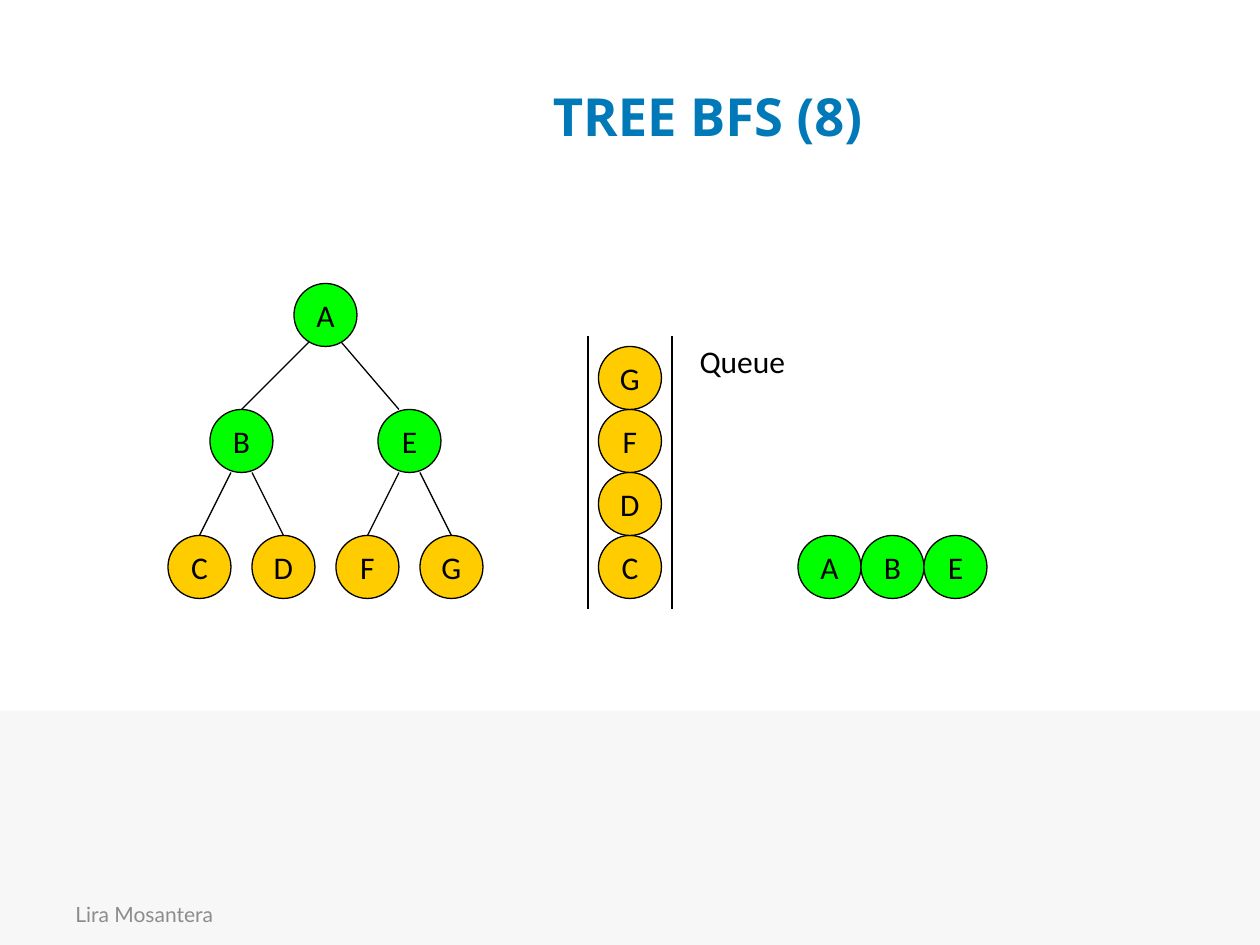
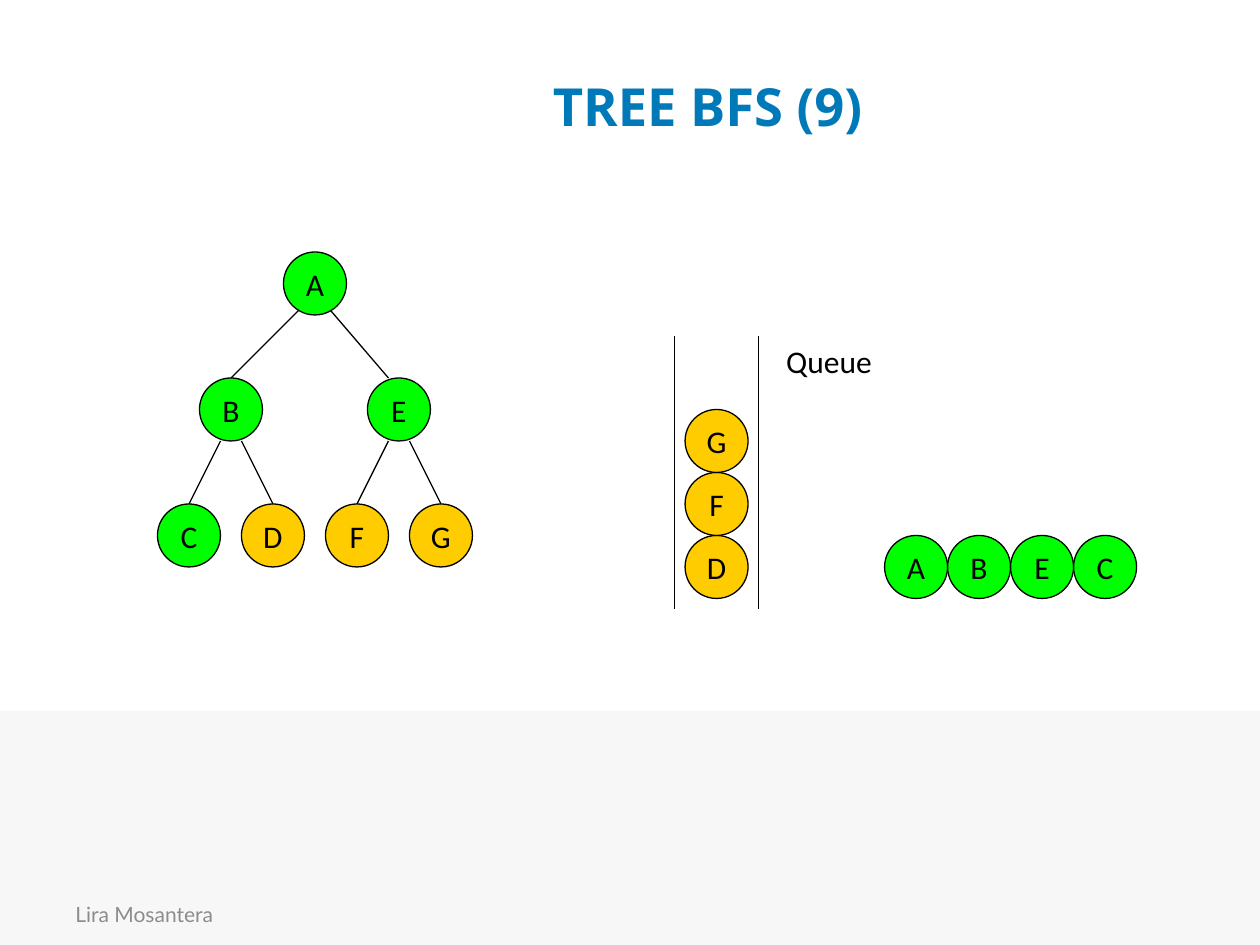
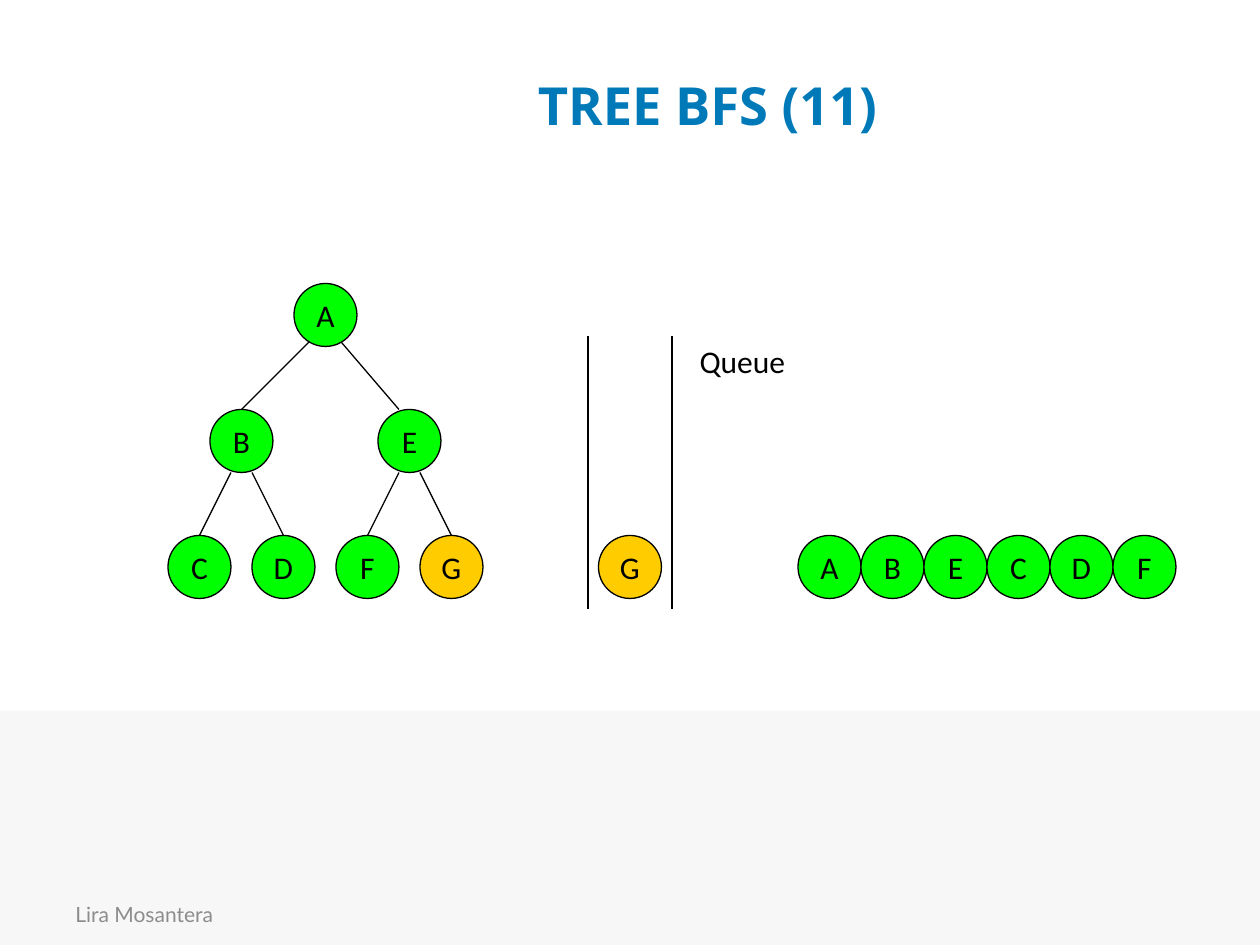
from dataclasses import dataclass
from typing import Any

from lxml import etree
from pptx import Presentation
from pptx.dml.color import RGBColor
from pptx.enum.shapes import MSO_CONNECTOR, MSO_SHAPE
from pptx.enum.text import MSO_ANCHOR, MSO_AUTO_SIZE, PP_ALIGN
from pptx.oxml.ns import qn
from pptx.util import Inches, Pt

ELLIPSE, RECTANGLE = MSO_SHAPE.OVAL, MSO_SHAPE.RECTANGLE
STRAIGHT = MSO_CONNECTOR.STRAIGHT
MIDDLE, TOP = MSO_ANCHOR.MIDDLE, MSO_ANCHOR.TOP
CENTER, LEFT = PP_ALIGN.CENTER, PP_ALIGN.LEFT
FIT_SHAPE, NO_FIT = MSO_AUTO_SIZE.SHAPE_TO_FIT_TEXT, MSO_AUTO_SIZE.NONE

COLORS = {
    "band": "F7F7F7",
    "title": "0079B8",
    "footer": "8C8C8C",
    "ink": "000000",
    "visited": "00FF00",
    "waiting": "FFCC00",
}

# The slide is a grid of 120 columns by 90 rows, twelve to the inch.
SLIDE_WIDTH, SLIDE_HEIGHT = Inches(10), Inches(7.5)
CELL = SLIDE_WIDTH // 120
BAND_TOP = 67.7
NODE_SIZE = 6
TITLE_LEFT, TITLE_WIDTH, TITLE_HEIGHT = 21, 92.8, 15

# Queue geometry
RAIL_TOP, RAIL_BOTTOM = 32, 58
RAIL_GAP = 8
BOTTOM_ROW = 51
LABEL_OFFSET, OUTPUT_OFFSET = 9, 20

BFS_ORDER = "ABECDFG"


@dataclass(frozen=True)
class TextStyle:
    font: str
    size: int
    color: str
    bold: bool = False
    align: Any = CENTER
    anchor: Any = MIDDLE


TITLE_STYLE = TextStyle("Open Sans", 30, "title", bold=True)
FOOTER_STYLE = TextStyle("Lato", 12, "footer", align=LEFT)
NODE_STYLE = TextStyle("Calibri", 18, "ink")
LABEL_STYLE = TextStyle("Calibri", 18, "ink", anchor=TOP)


@dataclass(frozen=True)
class TreeNode:
    """A node's place within the tree, and its children from left to right."""
    column: int
    row: int
    children: str = ""


TREE = {
    "A": TreeNode(12, 0, "BE"),
    "B": TreeNode(4, 12, "CD"),
    "E": TreeNode(20, 12, "FG"),
    "C": TreeNode(0, 24),
    "D": TreeNode(8, 24),
    "F": TreeNode(16, 24),
    "G": TreeNode(24, 24),
}


@dataclass(frozen=True)
class Step:
    """One moment of the traversal and where its parts stand on the grid."""
    number: int
    visited_count: int
    title_top: float
    tree_left: float
    tree_top: float
    queue_left: float


STEPS = [
    Step(8, 3, 3.5, 16, 27, 56),
    Step(9, 4, 2.6, 15, 24, 64.25),
    Step(11, 6, 2.5, 16, 27, 56),
]


def cells(*lengths: float) -> list[int]:
    return [round(length * CELL) for length in lengths]


def rgb(name: str) -> RGBColor:
    return RGBColor.from_string(COLORS[name])


def write(box: Any, text: str, style: TextStyle, wrap: bool = True) -> None:
    frame = box.text_frame
    frame.word_wrap = wrap
    frame.auto_size = NO_FIT
    frame.vertical_anchor = style.anchor
    para = frame.paragraphs[0]
    para.alignment = style.align
    span = para.add_run()
    span.text = text
    span.font.name = style.font
    span.font.size = Pt(style.size)
    span.font.bold = style.bold
    span.font.color.rgb = rgb(style.color)


def draw_line(shapes: Any, start: tuple[float, float], end: tuple[float, float]) -> None:
    line = shapes.add_connector(STRAIGHT, *cells(*start, *end))
    line.line.color.rgb = rgb("ink")
    line.line.width = Pt(0.75)
    etree.SubElement(line._element.spPr, qn("a:effectLst"))


def draw_node(shapes: Any, letter: str, left: float, top: float, visited: str) -> None:
    node = shapes.add_shape(ELLIPSE, *cells(left, top, NODE_SIZE, NODE_SIZE))
    node.shadow.inherit = False
    node.fill.solid()
    node.fill.fore_color.rgb = rgb("visited" if letter in visited else "waiting")
    node.line.color.rgb = rgb("ink")
    node.line.width = Pt(0.75)
    write(node, letter, NODE_STYLE, wrap=False)


def draw_tree(page: Any, step: Step, visited: str) -> None:
    shapes = page.shapes.add_group_shape().shapes
    radius = NODE_SIZE / 2
    for letter, node in TREE.items():
        for side, child_letter in zip((-1, 1), node.children):
            child = TREE[child_letter]
            child_shift = -1 if child_letter == "E" else 0
            parent_depth = NODE_SIZE - 1 if letter == "A" else NODE_SIZE
            draw_line(
                shapes,
                (step.tree_left + child.column + radius + child_shift,
                 step.tree_top + child.row),
                (step.tree_left + node.column + radius + side,
                 step.tree_top + node.row + parent_depth),
            )
    for letter, node in TREE.items():
        draw_node(shapes, letter, step.tree_left + node.column,
                  step.tree_top + node.row, visited)


def draw_queue(page: Any, step: Step, visited: str) -> None:
    shapes = page.shapes.add_group_shape().shapes
    for rail in (step.queue_left, step.queue_left + RAIL_GAP):
        draw_line(shapes, (rail, RAIL_BOTTOM), (rail, RAIL_TOP))
    for place, letter in enumerate(BFS_ORDER[step.visited_count:]):
        draw_node(shapes, letter, step.queue_left + 1,
                  BOTTOM_ROW - place * NODE_SIZE, visited)
    label = page.shapes.add_textbox(
        *cells(step.queue_left + LABEL_OFFSET, RAIL_TOP, 11.4, 4.8))
    write(label, "Queue", LABEL_STYLE, wrap=False)
    label.text_frame.auto_size = FIT_SHAPE


def draw_output(page: Any, step: Step, visited: str) -> None:
    for place, letter in enumerate(visited):
        draw_node(page.shapes, letter,
                  step.queue_left + OUTPUT_OFFSET + place * NODE_SIZE,
                  BOTTOM_ROW, visited)


def add_layout_band(page: Any) -> None:
    """Draw the grey band, then move it to the back of the page's layout."""
    band = page.shapes.add_shape(RECTANGLE, *cells(0, BAND_TOP, 120, 90 - BAND_TOP))
    band.shadow.inherit = False
    band.fill.solid()
    band.fill.fore_color.rgb = rgb("band")
    band.line.fill.background()
    page.slide_layout.shapes._spTree.insert(2, band._element)


def draw_frame(page: Any, step: Step) -> None:
    title = page.shapes.title
    title.left, title.top, title.width, title.height = cells(
        TITLE_LEFT, step.title_top, TITLE_WIDTH, TITLE_HEIGHT)
    write(title, f"TREE BFS ({step.number})", TITLE_STYLE)
    footer = page.shapes.add_textbox(*cells(6, 84.7, 28, 4.8))
    write(footer, "Lira Mosantera", FOOTER_STYLE)


def main() -> None:
    deck = Presentation()
    deck.slide_width, deck.slide_height = SLIDE_WIDTH, SLIDE_HEIGHT
    title_only = deck.slide_layouts[5]
    for index, step in enumerate(STEPS):
        page = deck.slides.add_slide(title_only)
        if index == 0:
            add_layout_band(page)
        visited = BFS_ORDER[:step.visited_count]
        draw_frame(page, step)
        draw_tree(page, step, visited)
        draw_output(page, step, visited)
        draw_queue(page, step, visited)
    deck.save("out.pptx")


if __name__ == "__main__":
    main()
